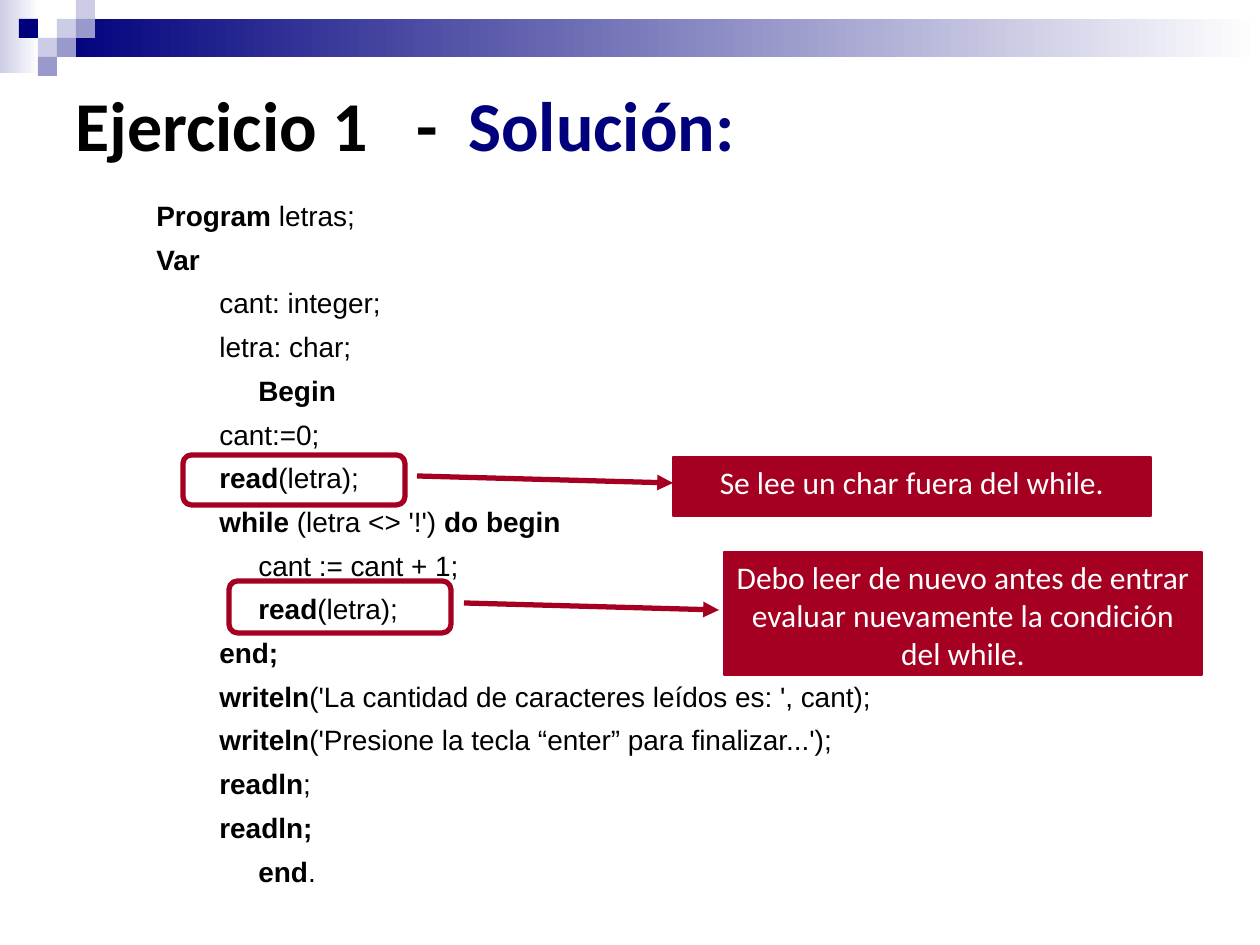
import pptx
import pptx.dml.color
import pptx.enum.shapes
import pptx.enum.text
import pptx.util
from lxml import etree

PX = 914400 // 126
NAVY, LILAC, VIOLET, RED, WHITE, BLACK = "00007D", "CCCCE6", "9999CC", "A50021", "FFFFFF", "000000"
SHAPES = pptx.enum.shapes.MSO_SHAPE
ANCHORS = pptx.enum.text.MSO_ANCHOR

# left, top, width, height, first colour
FADING_BARS = [(0, 0, 39, 73, LILAC), (57, 19, 1203, 38, NAVY)]
# column, row, colour on the corner grid
CELL = 19
CORNER_CELLS = [
    (3, 1, LILAC), (4, 0, LILAC), (4, 1, VIOLET), (2, 2, LILAC),
    (1, 1, NAVY), (3, 2, VIOLET), (2, 3, VIOLET),
]

TITLE_BOX = (63, 63, 1134, 122)
TITLE_TABS = (341, 393)
TITLE_FORMAT = {"name": "Calibri", "size": pptx.util.Pt(40), "bold": True}
TITLE_RUNS = [("Ejercicio 1\t-\t", BLACK), ("Solución:", NAVY)]

CODE_BOX = (144, 197, 873, 684)
CODE_FORMAT = {"name": "Arial", "size": pptx.util.Pt(16)}
INDENTS = (0, 63, 102)
# indent step, then (text, bold) runs
CODE_LINES = [
    (0, [("Program", True), (" letras;", False)]),
    (0, [("Var", True)]),
    (1, [("cant: integer;", False)]),
    (1, [("letra: char;", False)]),
    (2, [("Begin", True)]),
    (1, [("cant:=0;", False)]),
    (1, [("read", True), ("(letra);", False)]),
    (1, [("while", True), (" (letra <> '!') ", False), ("do begin", True)]),
    (2, [("cant := cant + 1;", False)]),
    (2, [("read", True), ("(letra);", False)]),
    (1, [("end;", True)]),
    (1, [("writeln", True), ("('La cantidad de caracteres leídos es: ', cant);", False)]),
    (1, [("writeln", True), ("('Presione la tecla “enter” para finalizar...');", False)]),
    (1, [("readln", True), (";", False)]),
    (1, [("readln;", True)]),
    (2, [("end", True), (".", False)]),
]

NOTE_FORMAT = {"name": "Calibri", "size": pptx.util.Pt(18)}
NOTES = [
    {"frame": (183, 455, 222, 50), "arrow": (417, 476, 673, 483), "box": (673, 457, 478, 59),
     "text": "Se lee un char fuera del while."},
    {"frame": (229, 581, 222, 52), "arrow": (464, 603, 719, 610), "box": (724, 552, 478, 123),
     "text": "Debo leer de nuevo antes de entrar evaluar nuevamente la condición del while."},
]


def scaled(lengths):
    return [length * PX for length in lengths]


def rgb(colour):
    return pptx.dml.color.RGBColor.from_string(colour)


def add_box(slide, kind, box, fill=None, line=None, line_width=0.75):
    shape = slide.shapes.add_shape(kind, *scaled(box))
    shape.shadow.inherit = False
    if fill:
        shape.fill.solid()
        shape.fill.fore_color.rgb = rgb(fill)
    else:
        shape.fill.background()
    if line:
        shape.line.color.rgb = rgb(line)
        shape.line.width = pptx.util.Pt(line_width)
    else:
        shape.line.fill.background()
    return shape


def add_text_box(slide, box):
    frame = slide.shapes.add_textbox(*scaled(box)).text_frame
    frame.word_wrap = True
    frame.vertical_anchor = ANCHORS.MIDDLE
    return frame


def add_run(paragraph, text, colour, formats):
    run = paragraph.add_run()
    run.text = text
    run.font.color.rgb = rgb(colour)
    for name, value in formats.items():
        setattr(run.font, name, value)


def add_child(parent, tag, **attributes):
    return etree.SubElement(parent, pptx.oxml.ns.qn(tag), **attributes)


def add_decoration(slide):
    for *box, colour in FADING_BARS:
        fill = add_box(slide, SHAPES.RECTANGLE, box).fill
        fill.gradient()
        fill.gradient_angle = 0
        for position, (stop, stop_colour) in enumerate(zip(fill.gradient_stops, (colour, WHITE))):
            stop.position = position
            stop.color.rgb = rgb(stop_colour)
    for column, row, colour in CORNER_CELLS:
        add_box(slide, SHAPES.RECTANGLE, (column * CELL, row * CELL, CELL, CELL), colour)


def add_title(slide):
    paragraph = add_text_box(slide, TITLE_BOX).paragraphs[0]
    tabs = add_child(paragraph._p.get_or_add_pPr(), "a:tabLst")
    for position in TITLE_TABS:
        add_child(tabs, "a:tab", pos=str(position * PX), algn="l")
    for text, colour in TITLE_RUNS:
        add_run(paragraph, text, colour, TITLE_FORMAT)


def add_code(slide):
    frame = add_text_box(slide, CODE_BOX)
    for index, (step, runs) in enumerate(CODE_LINES):
        paragraph = frame.add_paragraph() if index else frame.paragraphs[0]
        paragraph.line_spacing = 1.25
        paragraph.space_before = pptx.util.Pt(1 if index else 0)
        paragraph._p.get_or_add_pPr().set("marL", str(INDENTS[step] * PX))
        for text, bold in runs:
            add_run(paragraph, text, BLACK, {**CODE_FORMAT, "bold": bold})


def add_arrow(slide, ends):
    arrow = slide.shapes.add_connector(pptx.enum.shapes.MSO_CONNECTOR.STRAIGHT, *scaled(ends))
    arrow.line.color.rgb = rgb(RED)
    arrow.line.width = pptx.util.Pt(3)
    add_child(arrow.line._get_or_add_ln(), "a:tailEnd", type="triangle")
    add_child(arrow._element.spPr, "a:effectLst")


def add_note(slide, note):
    add_box(slide, SHAPES.ROUNDED_RECTANGLE, note["frame"], line=RED, line_width=3)
    add_arrow(slide, note["arrow"])
    frame = add_box(slide, SHAPES.RECTANGLE, note["box"], RED, RED).text_frame
    frame.word_wrap = True
    frame.vertical_anchor = ANCHORS.TOP
    paragraph = frame.paragraphs[0]
    paragraph.alignment = pptx.enum.text.PP_ALIGN.CENTER
    add_run(paragraph, note["text"], WHITE, NOTE_FORMAT)


def main():
    presentation = pptx.Presentation()
    presentation.slide_width, presentation.slide_height = scaled((1260, 945))
    slide = presentation.slides.add_slide(presentation.slide_layouts[6])
    add_decoration(slide)
    add_title(slide)
    add_code(slide)
    for note in NOTES:
        add_note(slide, note)
    presentation.save("out.pptx")


if __name__ == "__main__":
    main()
